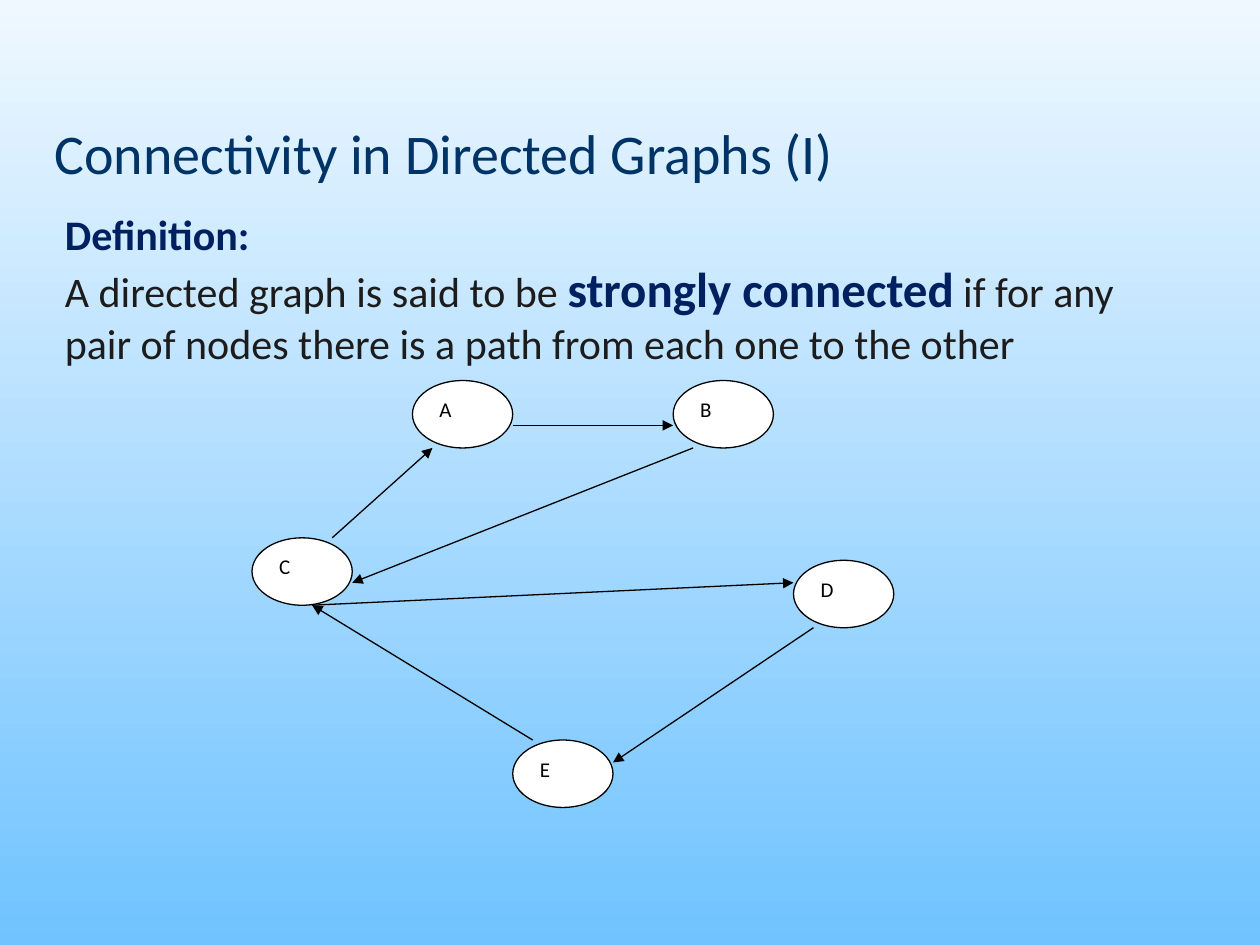
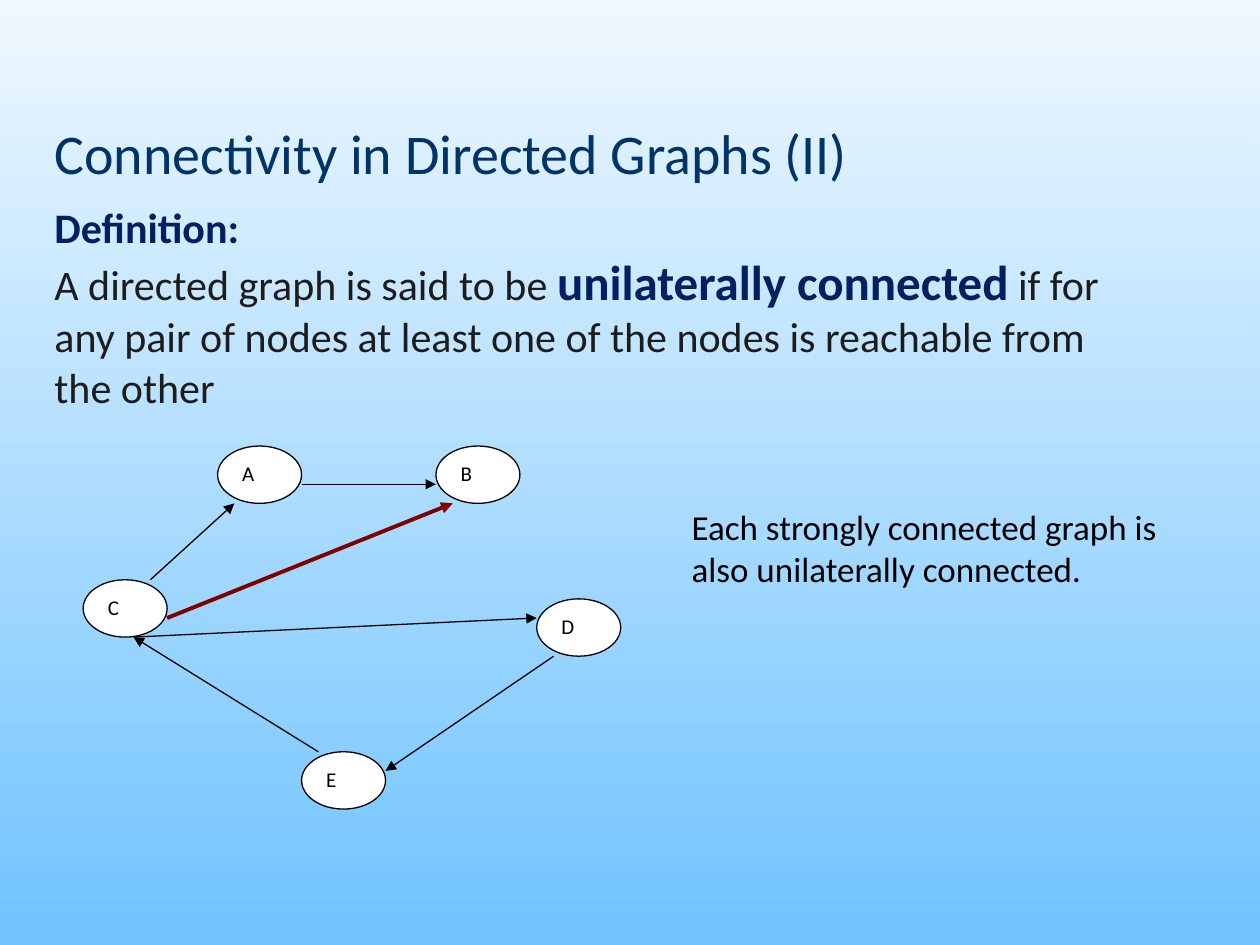
from lxml import etree
from pptx import Presentation
from pptx import util as u
from pptx.dml.color import RGBColor
from pptx.enum import shapes, text
from pptx.oxml.ns import qn

COLORS = {
    "sky_top": "EFF8FF", "sky_bottom": "70C3FF", "title": "003366",
    "term": "002060", "body": "1C1C1C", "ink": "000000",
    "node": "FFFFFF", "changed": "800000",
}
FONT = "Calibri"
COLUMNS, ROWS = 120, 90

NODES = {"A": (8, 0), "B": (21, 0), "C": (0, 7), "D": (27, 8), "E": (13, 16)}
NODE_SIZE = (5, 3)
SHARED_EDGES = [
    ((13, 2), (21, 2)),
    ((4, 7), (9, 3)),
    ((3, 10), (27, 9)),
    ((28, 11), (18, 17)),
    ((14, 16), (3, 10)),
]
B_SIDE, C_SIDE = (22, 3), (5, 9)


def rgb(name):
    """Return a palette colour by its name."""
    return RGBColor.from_string(COLORS[name])


def write(paragraph, words, size=24, color="body", bold=False):
    """Append formatted words to a paragraph."""
    run = paragraph.add_run()
    run.text = words
    run.font.name, run.font.size, run.font.bold = FONT, u.Pt(size), bold
    run.font.color.rgb = rgb(color)


class Deck:
    """Hold the shared style and the current slide, measured in grid cells."""

    def __init__(self):
        """Set the page size and the gradient behind every slide."""
        self.prs = Presentation()
        self.prs.slide_width, self.prs.slide_height = u.Inches(10), u.Inches(7.5)
        sky = self.prs.slide_master.background.fill
        sky.gradient()
        sky.gradient_angle = 270
        for stop, position, name in zip(sky.gradient_stops, (0, 1), ("sky_top", "sky_bottom")):
            stop.position, stop.color.rgb = position, rgb(name)

    def grid(self, *cells):
        """Turn alternating column and row counts into lengths."""
        steps = (self.prs.slide_width / COLUMNS, self.prs.slide_height / ROWS)
        return [u.Emu(round(cell * steps[i % 2])) for i, cell in enumerate(cells)]

    def start(self, title):
        """Open a blank slide with its title."""
        self.slide = self.prs.slides.add_slide(self.prs.slide_layouts[6])
        frame = self.frame((4, 10.5, 110, 8), text.MSO_ANCHOR.MIDDLE)
        write(frame.paragraphs[0], title, size=32, color="title")

    def frame(self, place, anchor=text.MSO_ANCHOR.TOP):
        """Add a wrapping text box and return its frame."""
        frame = self.slide.shapes.add_textbox(*self.grid(*place)).text_frame
        frame.word_wrap, frame.vertical_anchor = True, anchor
        return frame

    def definition(self, place, term, condition, anchor=text.MSO_ANCHOR.TOP):
        """Define a term, with the term itself standing out."""
        frame = self.frame(place, anchor)
        write(frame.paragraphs[0], "Definition:", color="term", bold=True)
        sentence = frame.add_paragraph()
        write(sentence, "A directed graph is said to be ")
        write(sentence, term, size=28, color="term", bold=True)
        write(sentence, condition)

    def note(self, place, words):
        """Add a remark beside the graph."""
        write(self.frame(place).paragraphs[0], words, size=20, color="ink")

    def node(self, label, place):
        """Draw a labelled graph node."""
        oval = self.slide.shapes.add_shape(shapes.MSO_SHAPE.OVAL, *self.grid(*place))
        oval.shadow.inherit = False
        oval.fill.solid()
        oval.fill.fore_color.rgb = rgb("node")
        oval.line.color.rgb, oval.line.width = rgb("ink"), u.Pt(0.75)
        oval.text_frame.vertical_anchor = text.MSO_ANCHOR.TOP
        paragraph = oval.text_frame.paragraphs[0]
        paragraph.alignment = text.PP_ALIGN.LEFT
        write(paragraph, label, size=12, color="ink")

    def arrow(self, start, end, color="ink", width=0.75):
        """Draw a directed edge."""
        edge = self.slide.shapes.add_connector(
            shapes.MSO_CONNECTOR.STRAIGHT, *self.grid(*start, *end))
        edge.line.color.rgb, edge.line.width = rgb(color), u.Pt(width)
        etree.SubElement(edge.line._get_or_add_ln(), qn("a:tailEnd"), type="triangle")
        etree.SubElement(edge._element.spPr, qn("a:effectLst"))

    def graph(self, origin, unit, start, end, **style):
        """Draw the five-node graph with one edge that varies by slide."""
        def scale(point):
            """Place a graph point on the slide grid."""
            return [o + p * s for o, p, s in zip(origin, point, unit)]

        size = [n * s for n, s in zip(NODE_SIZE, unit)]
        for label, corner in NODES.items():
            self.node(label, (*scale(corner), *size))
        for tail, head in SHARED_EDGES:
            self.arrow(scale(tail), scale(head))
        self.arrow(scale(start), scale(end), **style)


def main():
    """Build both slides and save them."""
    deck = Deck()

    deck.start("Connectivity in Directed Graphs (I)")
    deck.definition(
        (5, 19.2, 108, 16.44), "strongly connected",
        " if for any pair of nodes there is a path from each one to the other",
        anchor=text.MSO_ANCHOR.MIDDLE)
    deck.graph((24, 36.24), (1.91, 2.14), B_SIDE, C_SIDE)

    deck.start("Connectivity in Directed Graphs (II)")
    deck.definition(
        (4, 18.6, 105, 21.24), "unilaterally connected",
        " if for any pair of nodes at least one of the nodes is reachable from the other")
    deck.graph((7.92, 42.48), (1.6, 1.82), C_SIDE, B_SIDE, color="changed", width=2.25)
    deck.note((64.68, 47.52, 49.32, 9.24),
              "Each strongly connected graph is also unilaterally connected.")

    deck.prs.save("out.pptx")


if __name__ == "__main__":
    main()
